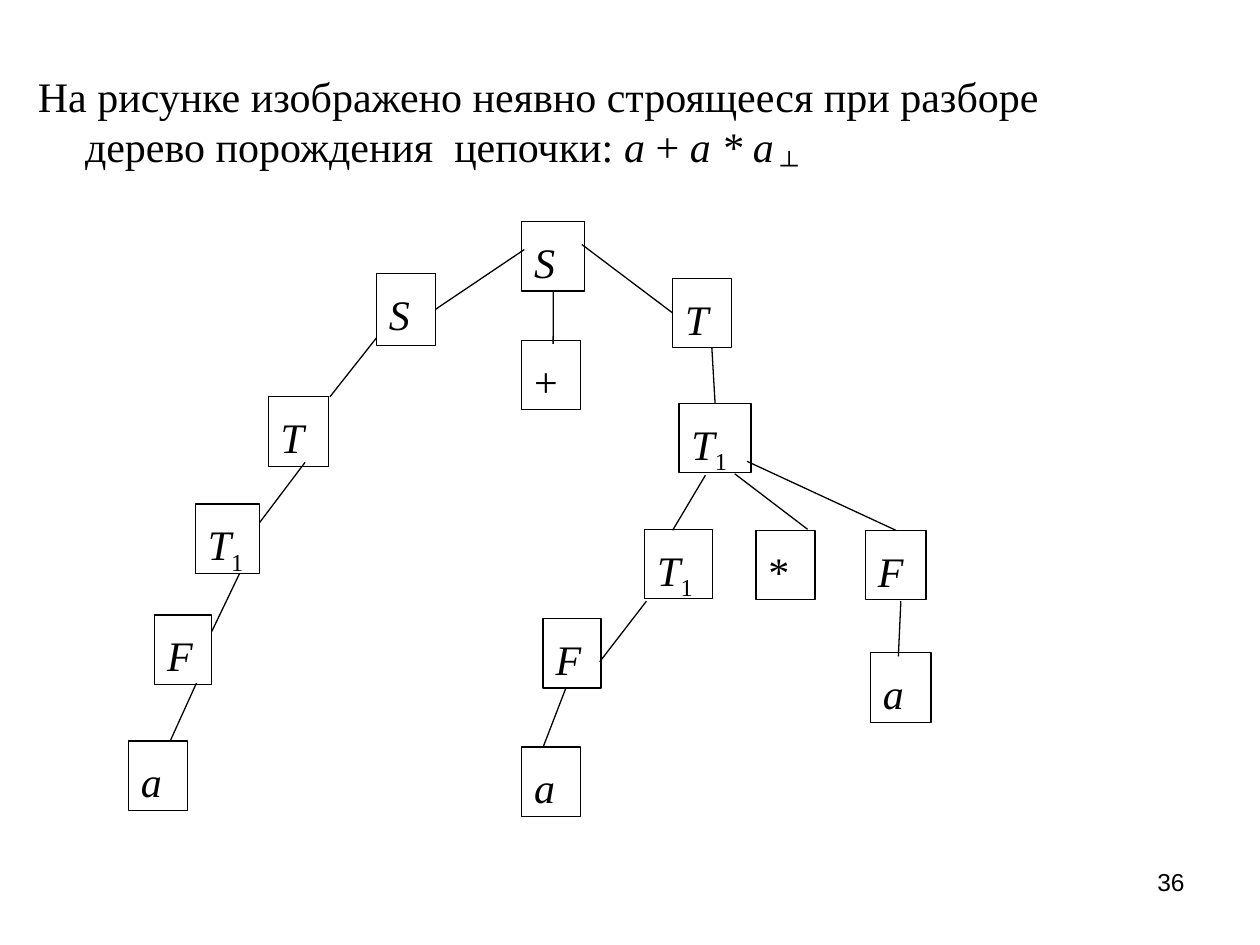
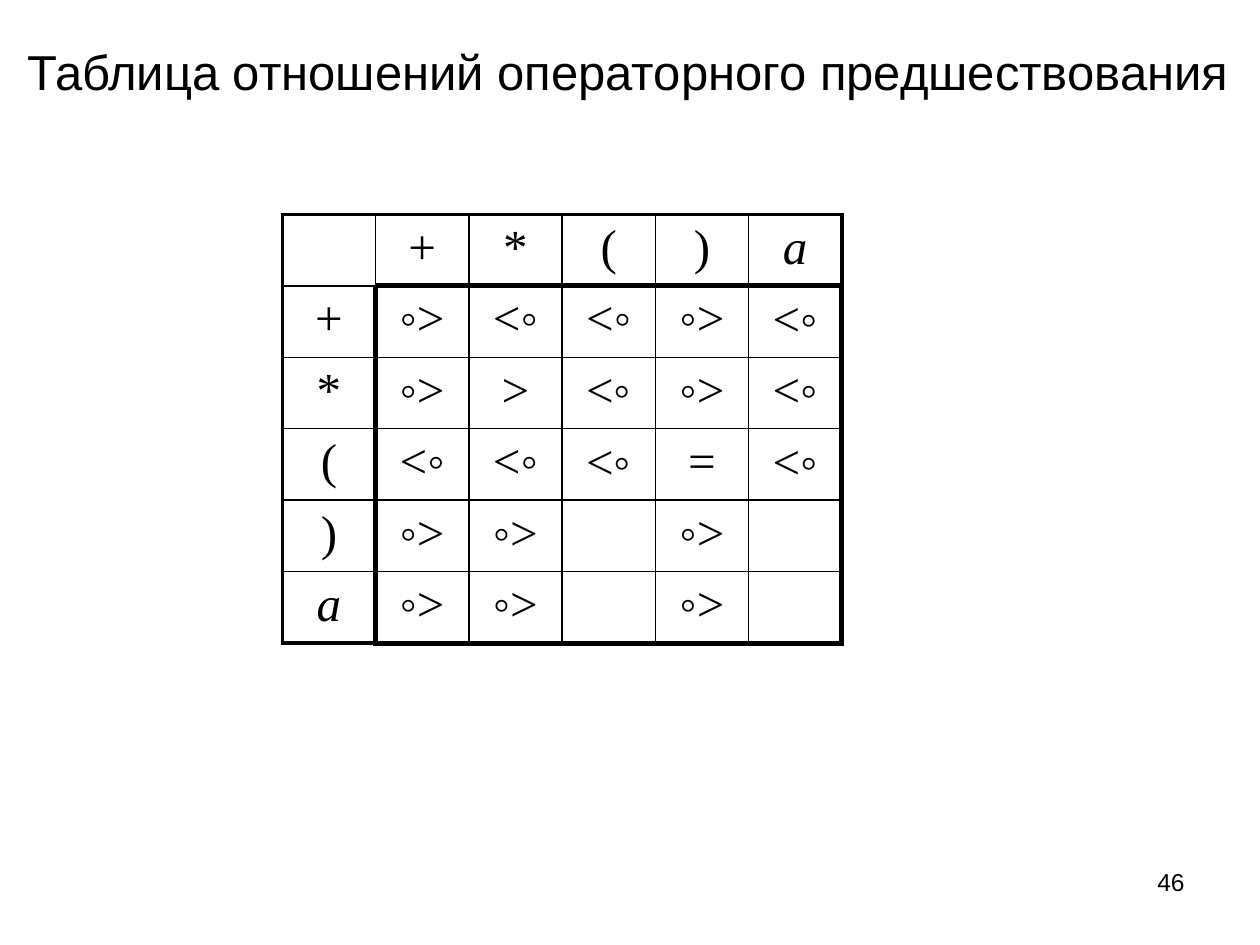
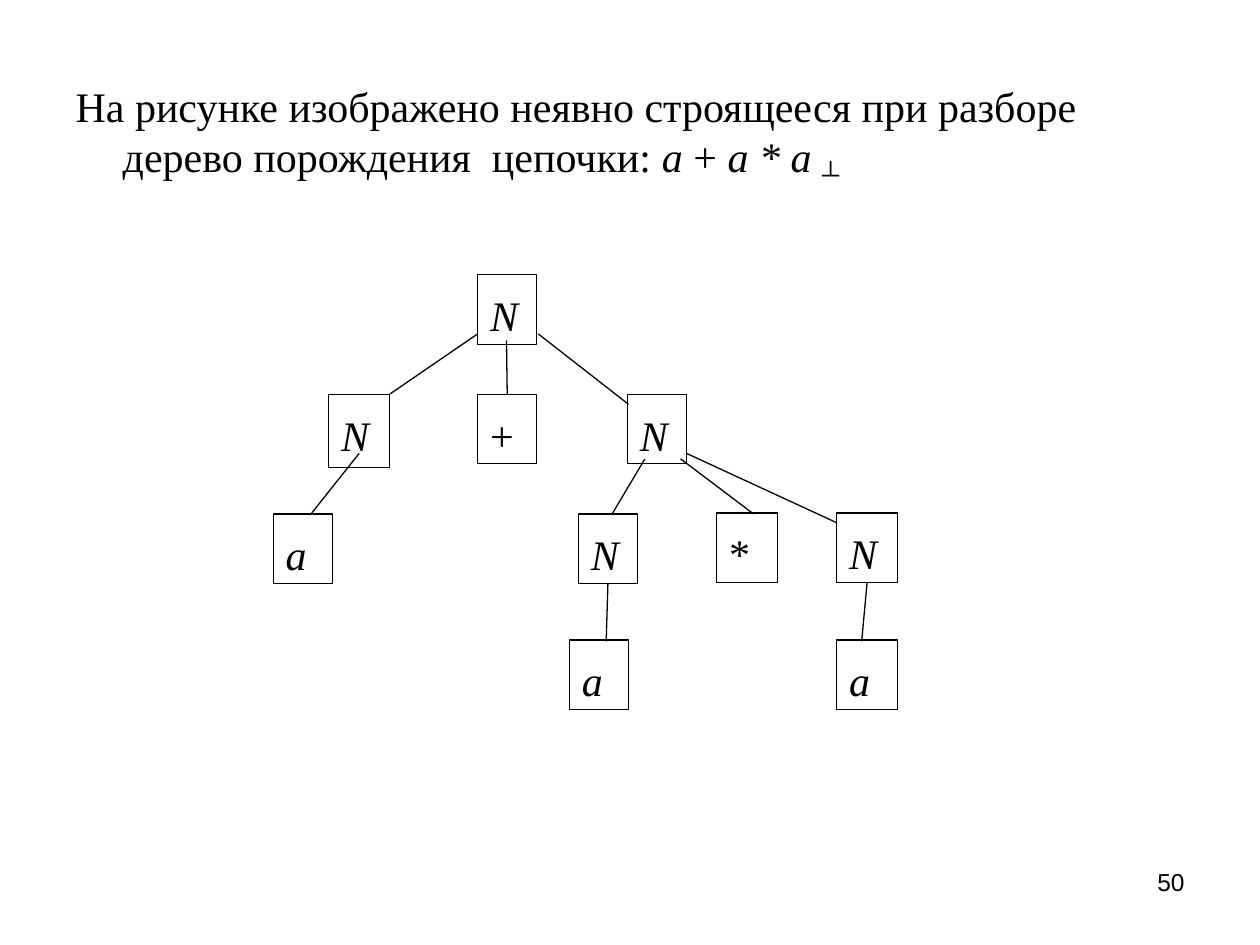
from lxml.etree import SubElement
from pptx import Presentation
from pptx.dml.color import RGBColor
from pptx.enum.shapes import MSO_CONNECTOR, MSO_SHAPE
from pptx.enum.text import MSO_ANCHOR, MSO_AUTO_SIZE, PP_ALIGN
from pptx.oxml.ns import qn
from pptx.util import Cm, Pt

BLACK, WHITE = "000000", "FFFFFF"
SERIF, SANS = "Times New Roman", "Arial"
TOP_MARGIN = Cm(0.3)
LINE_WIDTH = Pt(0.75)
HANGING_INDENT = Cm(0.95)

UPRIGHT = {"name": SERIF, "size": Pt(24), "italic": False}
ITALIC = {**UPRIGHT, "italic": True}
SUBSCRIPT = {**UPRIGHT, "baseline": "-25000"}
END_MARK = {**SUBSCRIPT, "name": SANS}
HEADING = {"name": SANS, "size": Pt(28)}
RELATION = {"name": SERIF, "size": Pt(28)}
NUMBER = {"name": SANS, "size": Pt(14)}

TREE_TITLE = "На рисунке изображено неявно строящееся при разборе дерево порождения  цепочки: "

# Node: label, left, top, width, height. Edge end: a point, or a node and its side.
FIRST_NODES = {
    "S root": ("S", 10.52, 4.47, 1.27, 1.4),
    "S left": ("S", 7.59, 5.51, 1.19, 1.45),
    "plus": ("+", 10.52, 6.86, 1.19, 1.4),
    "T right": ("T", 13.56, 5.61, 1.19, 1.4),
    "T left": ("T", 5.41, 8, 1.22, 1.4),
    "T1 left": ("T1", 3.94, 10.16, 1.3, 1.4),
    "F left": ("F", 3.12, 12.4, 1.14, 1.4),
    "a left": ("a", 2.59, 14.94, 1.19, 1.4),
    "T1 right": ("T1", 13.69, 8.13, 1.45, 1.4),
    "T1 inner": ("T1", 13, 10.67, 1.37, 1.4),
    "star": ("*", 15.24, 10.69, 1.19, 1.4),
    "F right": ("F", 17.45, 10.69, 1.22, 1.4),
    "F inner": ("F", 10.95, 12.47, 1.17, 1.4),
    "a inner": ("a", 10.52, 15.06, 1.19, 1.4),
    "a right": ("a", 17.55, 13.16, 1.22, 1.4),
}
FIRST_EDGES = [
    ((10.57, 5.03), ("S left", 3)),
    (("S root", 2), (11.15, 6.93)),
    ((11.73, 4.93), ("T right", 1)),
    ((7.59, 6.81), (6.65, 8)),
    ((6.15, 9.32), (5.23, 10.54)),
    ((4.83, 11.56), (4.27, 12.73)),
    ((3.96, 13.77), (3.43, 14.94)),
    ((14.35, 7.01), ("T1 right", 0)),
    ((14.22, 9.58), (13.56, 10.69)),
    ((14.81, 9.55), (16.28, 10.67)),
    ((15.06, 9.3), ("F right", 0)),
    ((13.03, 12.12), (12.09, 13.34)),
    ((11.4, 13.89), (10.95, 15.06)),
    ((18.16, 12.12), (18.11, 13.23)),
]
SECOND_NODES = {
    "N root": ("N", 9.63, 5.54, 1.19, 1.4),
    "N left": ("N", 6.63, 7.95, 1.22, 1.47),
    "plus": ("+", 9.63, 7.95, 1.19, 1.4),
    "N right": ("N", 12.65, 7.95, 1.19, 1.4),
    "a left": ("a", 5.51, 10.36, 1.19, 1.4),
    "N inner": ("N", 11.66, 10.36, 1.19, 1.4),
    "star": ("*", 14.45, 10.34, 1.22, 1.4),
    "N last": ("N", 16.87, 10.34, 1.22, 1.4),
    "a inner": ("a", 11.48, 12.9, 1.19, 1.4),
    "a last": ("a", 16.87, 12.9, 1.22, 1.4),
}
SECOND_EDGES = [
    ((9.63, 6.73), (7.85, 7.95)),
    ((10.21, 6.86), ("plus", 0)),
    ((10.85, 6.73), (12.67, 8.15)),
    ((7.24, 9.14), (6.27, 10.36)),
    ((13, 9.25), (12.34, 10.36)),
    ((13.72, 9.25), (15.19, 10.36)),
    ((13.84, 9.14), (16.87, 10.54)),
    (("N last", 2), (17.37, 12.93)),
    (("N inner", 2), (12.22, 12.93)),
]

# A bar separates the part of a cell set in the sans font.
RELATIONS = [
    ["", "+", "*", "(", ")", "a"],
    ["+", "◦>", "<◦", "<◦", "◦>", "<|◦"],
    ["*", "◦>", ">", "<|◦", "◦>", "<|◦"],
    ["(", "<◦", "<◦", "<|◦", "=", "<|◦"],
    [")", "◦>", "◦>", "", "◦>", ""],
    ["a", "◦>", "◦>", "", "◦>", ""],
]

SLIDES = [
    {"number": "36", "title_box": (0.51, 1.12, 22.86, 15.77),
     "title": [(TREE_TITLE, UPRIGHT), ("a ", ITALIC), ("+ ", UPRIGHT),
               ("a * a", ITALIC), (" ┴", END_MARK)],
     "nodes": FIRST_NODES, "edges": FIRST_EDGES},
    {"number": "46", "title_box": (0.3, 0.53, 25.1, 19.2),
     "title": [("Таблица отношений операторного предшествования", HEADING)],
     "table": RELATIONS},
    {"number": "50", "title_box": (1.27, 1.32, 22.86, 15.7),
     "title": [(TREE_TITLE, UPRIGHT), ("a ", ITALIC), ("+ ", UPRIGHT),
               ("a * a ", ITALIC), ("┴", END_MARK)],
     "nodes": SECOND_NODES, "edges": SECOND_EDGES},
]


def add_runs(paragraph, runs, alignment=PP_ALIGN.LEFT):
    paragraph.alignment = alignment
    for text, formats in runs:
        run = paragraph.add_run()
        run.text = text
        run.font.color.rgb = RGBColor.from_string(BLACK)
        for key, value in formats.items():
            if key == "baseline":
                run.font._element.set("baseline", value)
            else:
                setattr(run.font, key, value)


def border_width(edge, position):
    """Width in points of a grid line; the body is framed heavier than the headers."""
    if edge == 0:
        return 2.25
    if edge in (1, len(RELATIONS)) and position > 0:
        return 3
    return 2.25 if edge == len(RELATIONS) else 1


presentation = Presentation()
presentation.slide_width, presentation.slide_height = Cm(25.4), Cm(19.05)

for content in SLIDES:
    slide = presentation.slides.add_slide(presentation.slide_layouts[5])

    title = slide.shapes.title
    title.left, title.top, title.width, title.height = map(Cm, content["title_box"])
    frame = title.text_frame
    frame.auto_size = MSO_AUTO_SIZE.NONE
    frame.vertical_anchor = MSO_ANCHOR.TOP
    frame.margin_top = TOP_MARGIN
    properties = frame.paragraphs[0]._p.get_or_add_pPr()
    properties.set("marL", str(HANGING_INDENT))
    properties.set("indent", str(-HANGING_INDENT))
    add_runs(frame.paragraphs[0], content["title"])

    number_box = slide.shapes.add_textbox(Cm(18.21), Cm(17.35), Cm(5.92), Cm(1.32))
    number_box.text_frame.word_wrap = True
    add_runs(number_box.text_frame.paragraphs[0], [(content["number"], NUMBER)], PP_ALIGN.RIGHT)

    node_shapes = {}
    for name, (label, *box) in content.get("nodes", {}).items():
        shape = slide.shapes.add_shape(MSO_SHAPE.RECTANGLE, *map(Cm, box))
        shape.shadow.inherit = False
        shape.fill.solid()
        shape.fill.fore_color.rgb = RGBColor.from_string(WHITE)
        shape.line.color.rgb = RGBColor.from_string(BLACK)
        shape.line.width = LINE_WIDTH
        frame = shape.text_frame
        frame.word_wrap = True
        frame.vertical_anchor = MSO_ANCHOR.TOP
        frame.margin_top = TOP_MARGIN
        runs = [(label[0], ITALIC if label.isalnum() else UPRIGHT)]
        if label[1:]:
            runs.append((label[1:], SUBSCRIPT))
        add_runs(frame.paragraphs[0], runs)
        node_shapes[name] = shape

    for ends in content.get("edges", []):
        points = [(0, 0) if end[0] in node_shapes else end for end in ends]
        connector = slide.shapes.add_connector(
            MSO_CONNECTOR.STRAIGHT, *(Cm(value) for point in points for value in point))
        for end, connect in zip(ends, (connector.begin_connect, connector.end_connect)):
            if end[0] in node_shapes:
                connect(node_shapes[end[0]], end[1])
        connector.line.color.rgb = RGBColor.from_string(BLACK)
        connector.line.width = LINE_WIDTH
        SubElement(connector._element.spPr, qn("a:effectLst"))

    if "table" in content:
        rows = content["table"]
        size = len(rows)
        table = slide.shapes.add_table(
            size, size, Cm(5.69), Cm(4.32), Cm(1.88 * size), Cm(1.44 * size)).table
        table.first_row = table.horz_banding = False
        for row, texts in enumerate(rows):
            for column, text in enumerate(texts):
                cell = table.cell(row, column)
                widths = {
                    "a:lnL": border_width(column, row),
                    "a:lnR": border_width(column + 1, row),
                    "a:lnT": border_width(row, column),
                    "a:lnB": border_width(row + 1, column),
                }
                for tag, width in widths.items():
                    line = SubElement(cell._tc.get_or_add_tcPr(), qn(tag), w=str(Pt(width)))
                    fill = SubElement(line, qn("a:solidFill"))
                    SubElement(fill, qn("a:srgbClr"), val=BLACK)
                cell.fill.background()
                if text:
                    parts = zip(text.split("|"), (SERIF, SANS))
                    runs = [(part, {**RELATION, "name": font, "italic": text == "a"})
                            for part, font in parts]
                    add_runs(cell.text_frame.paragraphs[0], runs, PP_ALIGN.CENTER)

presentation.save("out.pptx")
